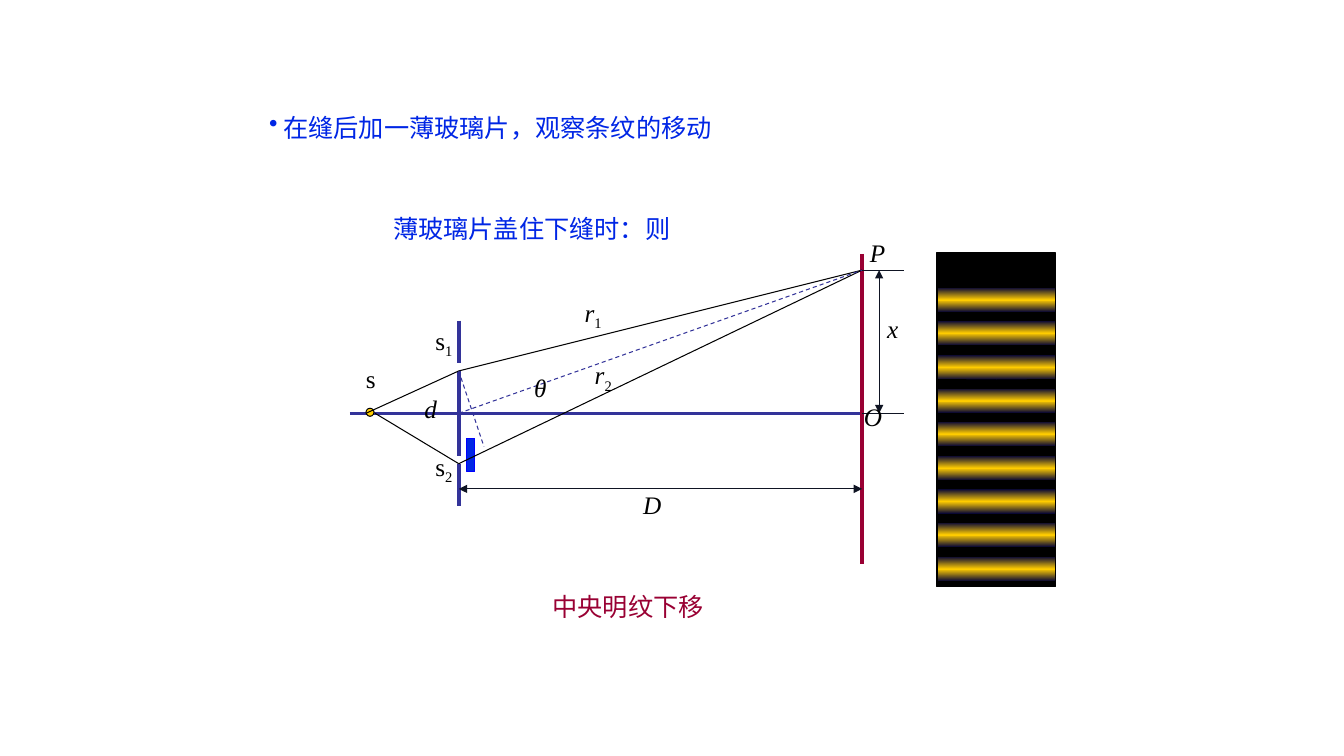
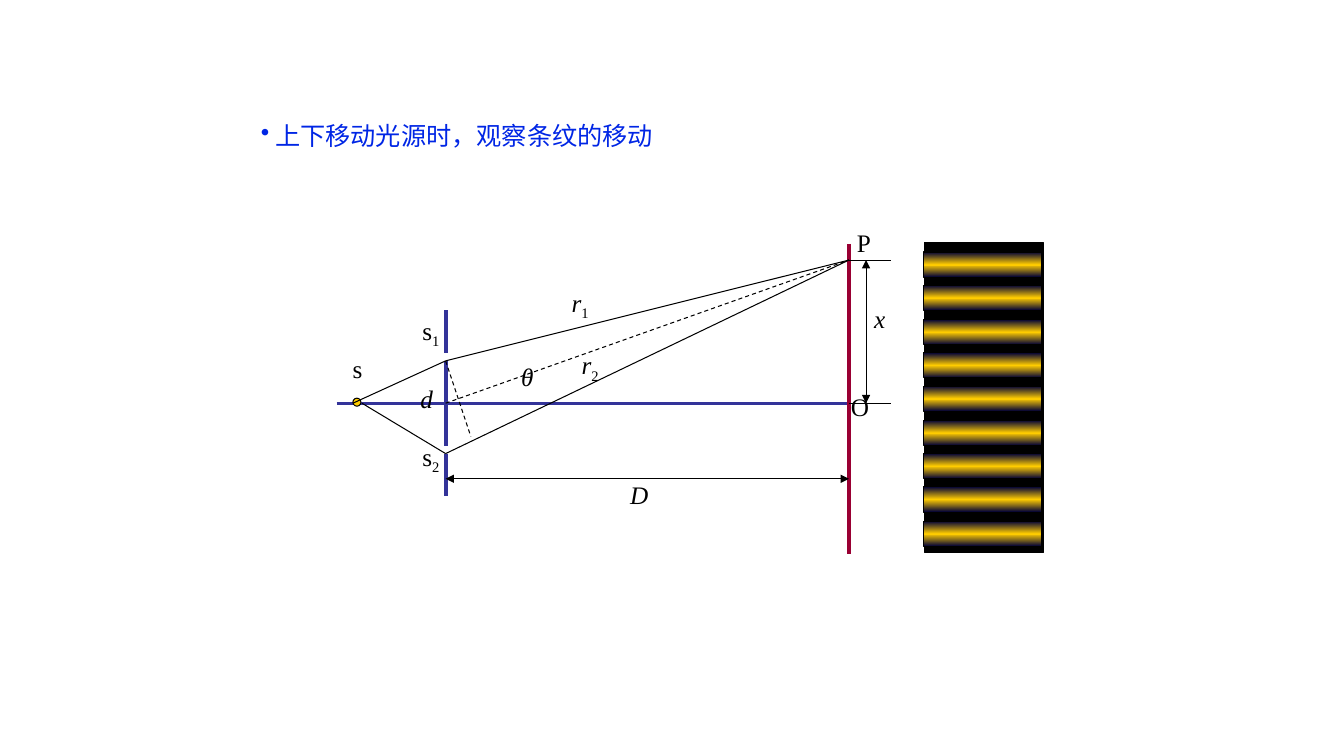
from copy import deepcopy

from lxml.etree import SubElement
from pptx import Presentation
from pptx.dml.color import RGBColor
from pptx.enum.dml import MSO_LINE
from pptx.enum.shapes import MSO_CONNECTOR, MSO_SHAPE
from pptx.enum.text import MSO_ANCHOR, PP_ALIGN
from pptx.oxml.ns import qn
from pptx.util import Pt

PX = 9144  # 100 px to the inch
FONT = "Times New Roman"
COLORS = {
    "black": "000000",
    "blue": "0026E5",
    "glass edge": "0000FF",
    "indigo": "333399",
    "crimson": "990033",
    "gold": "FFCC00",
    "fringe edge": "000036",
    "ink": "0F1423",
}
BULLET_INDENT = 14
FRINGE_COUNT = 9
FRINGE_PITCH = 100 / 3

# Diagram positions are measured from where the axis meets the slits
SCREEN_X = 400
POINT_P = (SCREEN_X, -142)
SLIT_1 = (0, -42)
SLIT_2 = (0, 50)

experiments = [
    {
        "heading": (257, 106, 795, "在缝后加一薄玻璃片，观察条纹的移动"),
        "captions": [
            (380, 207, 295, "薄玻璃片盖住下缝时：则", "blue", PP_ALIGN.LEFT),
            (538, 582, 170, "中央明纹下移", "crimson", PP_ALIGN.CENTER),
        ],
        "center": (455, 410),
        "panel": (929, 251, 118, 331),
        "fringes": (930, 285),
        "glass": True,
        "dash color": "indigo",
        "dimension color": "ink",
        "d x": -44,
        "point italic": True,
    },
    {
        "heading": (249, 114, 780, "上下移动光源时，观察条纹的移动"),
        "captions": [],
        "center": (442, 400),
        "panel": (917, 241, 118, 307),
        "fringes": (916, 250),
        "glass": False,
        "dash color": "black",
        "dimension color": "black",
        "d x": -35,
        "point italic": False,
    },
]


def add_line(slide, center, start, end, color, width=0.75, dashed=False, arrows=False):
    points = [(center[axis] + point[axis]) * PX for point in (start, end) for axis in (0, 1)]
    connector = slide.shapes.add_connector(MSO_CONNECTOR.STRAIGHT, *points)
    connector.line.color.rgb = RGBColor.from_string(COLORS[color])
    connector.line.width = Pt(width)
    if dashed:
        connector.line.dash_style = MSO_LINE.DASH
    if arrows:
        line_element = connector.line._get_or_add_ln()
        for tag in ("a:headEnd", "a:tailEnd"):
            SubElement(line_element, qn(tag), type="triangle")
    SubElement(connector._element.spPr, qn("a:effectLst"))


def add_text(slide, left, top, width, runs, color, wrap=False, anchor=MSO_ANCHOR.TOP):
    """Each run is (text, italic, subscript)."""
    box = slide.shapes.add_textbox(left * PX, top * PX, width * PX, 40 * PX)
    box.text_frame.word_wrap = wrap
    box.text_frame.vertical_anchor = anchor
    paragraph = box.text_frame.paragraphs[0]
    for text, italic, subscript in runs:
        run = paragraph.add_run()
        run.text = text
        run.font.name = FONT
        run.font.size = Pt(18)
        run.font.italic = italic
        run.font.color.rgb = RGBColor.from_string(COLORS[color])
        if subscript:
            run.font._element.set("baseline", "-25000")
    return paragraph


presentation = Presentation()
presentation.slide_width = 1333 * PX
presentation.slide_height = 750 * PX

for experiment in experiments:
    slide = presentation.slides.add_slide(presentation.slide_layouts[6])
    center = center_x, center_y = experiment["center"]
    dash_color = experiment["dash color"]
    dimension_color = experiment["dimension color"]

    # Fringe panel, glass plate and light source
    shapes = [(MSO_SHAPE.RECTANGLE, *experiment["panel"], "black", "black")]
    fringe_left, fringe_top = experiment["fringes"]
    for index in range(FRINGE_COUNT):
        top = fringe_top + round(index * FRINGE_PITCH)
        shapes.append((MSO_SHAPE.RECTANGLE, fringe_left, top, 117, 25, "fringe", "black"))
    if experiment["glass"]:
        shapes.append((MSO_SHAPE.RECTANGLE, center_x + 8, center_y + 25, 8, 33, "blue", "glass edge"))
    source = (MSO_SHAPE.OVAL, center_x - 92, center_y - 5, 8, 8, "gold", "black")

    # Axis, slits and screen
    barrier_lines = [
        ((-108, 0), (SCREEN_X, 0), "indigo", 2.25),
        ((0, -92), (0, -50), "indigo", 3),
        ((0, -42), (0, 42), "indigo", 3),
        ((0, 50), (0, 92), "indigo", 3),
        ((SCREEN_X, -158), (SCREEN_X, 150), "crimson", 3),
    ]
    for start, end, color, width in barrier_lines:
        add_line(slide, center, start, end, color, width)

    for kind, left, top, width, height, fill, outline in [*shapes, source]:
        shape = slide.shapes.add_shape(kind, left * PX, top * PX, width * PX, height * PX)
        shape.shadow.inherit = False
        shape.line.color.rgb = RGBColor.from_string(COLORS[outline])
        shape.line.width = Pt(0.75)
        if fill == "fringe":
            shape.fill.gradient()
            shape.fill.gradient_angle = 270
            first_stop = shape.fill.gradient_stops[0]._gs
            first_stop.addnext(deepcopy(first_stop))
            stop_values = [(0, "fringe edge"), (0.5, "gold"), (1, "fringe edge")]
            for stop, (position, color) in zip(shape.fill.gradient_stops, stop_values):
                stop.position = position
                stop.color.rgb = RGBColor.from_string(COLORS[color])
        else:
            shape.fill.solid()
            shape.fill.fore_color.rgb = RGBColor.from_string(COLORS[fill])

    # Light rays
    rays = [((-92, 0), SLIT_1), ((-83, 0), SLIT_2), (SLIT_1, POINT_P), (SLIT_2, POINT_P)]
    for start, end in rays:
        add_line(slide, center, start, end, "black")

    # Helper lines and dimensions
    for start, end in [((0, 0), POINT_P), (SLIT_1, (25, 33))]:
        add_line(slide, center, start, end, dash_color, dashed=True)
    for y in (POINT_P[1], 0):
        add_line(slide, center, (SCREEN_X, y), (SCREEN_X + 42, y), dimension_color)
    for start, end in [((0, 75), (SCREEN_X, 75)), ((417, POINT_P[1]), (417, 0))]:
        add_line(slide, center, start, end, dimension_color, arrows=True)

    # Letters: x, y, width, letter, italic, subscript
    point_italic = experiment["point italic"]
    labels = [
        (experiment["d x"], -25, 32, "d", True, ""),
        (-102, -54, 30, "s", False, ""),
        (-33, -92, 38, "s", False, "1"),
        (-33, 33, 38, "s", False, "2"),
        (398, -179, 35, "P", point_italic, ""),
        (392, -17, 38, "O", point_italic, ""),
        (173, 71, 38, "D", True, ""),
        (415, -104, 31, "x", True, ""),
        (115, -120, 38, "r", True, "1"),
        (125, -58, 38, "r", True, "2"),
        (65, -46, 32, "θ", True, ""),
    ]
    for x, y, width, letter, italic, subscript in labels:
        runs = [(letter, italic, False)]
        if subscript:
            runs.append((subscript, False, True))
        add_text(slide, center_x + x, center_y + y, width, runs, "black")

    # Captions
    for left, top, width, text, color, alignment in experiment["captions"]:
        paragraph = add_text(slide, left, top, width, [(text, False, False)], color,
                             anchor=MSO_ANCHOR.MIDDLE)
        paragraph.alignment = alignment

    # Bulleted heading
    left, top, width, text = experiment["heading"]
    paragraph = add_text(slide, left, top, width, [(text, False, False)], "blue",
                         wrap=True, anchor=MSO_ANCHOR.MIDDLE)
    properties = paragraph._p.get_or_add_pPr()
    properties.set("marL", str(BULLET_INDENT * PX))
    properties.set("indent", str(-BULLET_INDENT * PX))
    SubElement(properties, qn("a:buChar"), char="•")

presentation.save("out.pptx")
